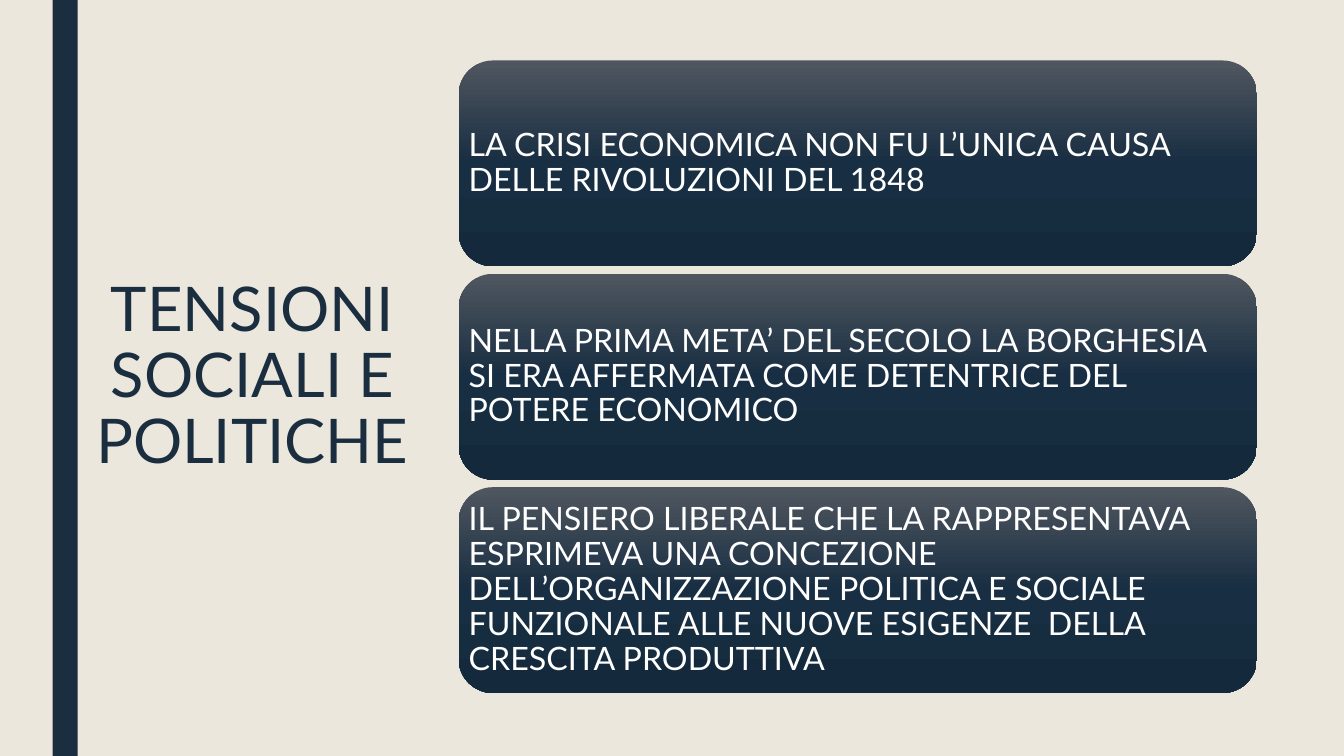
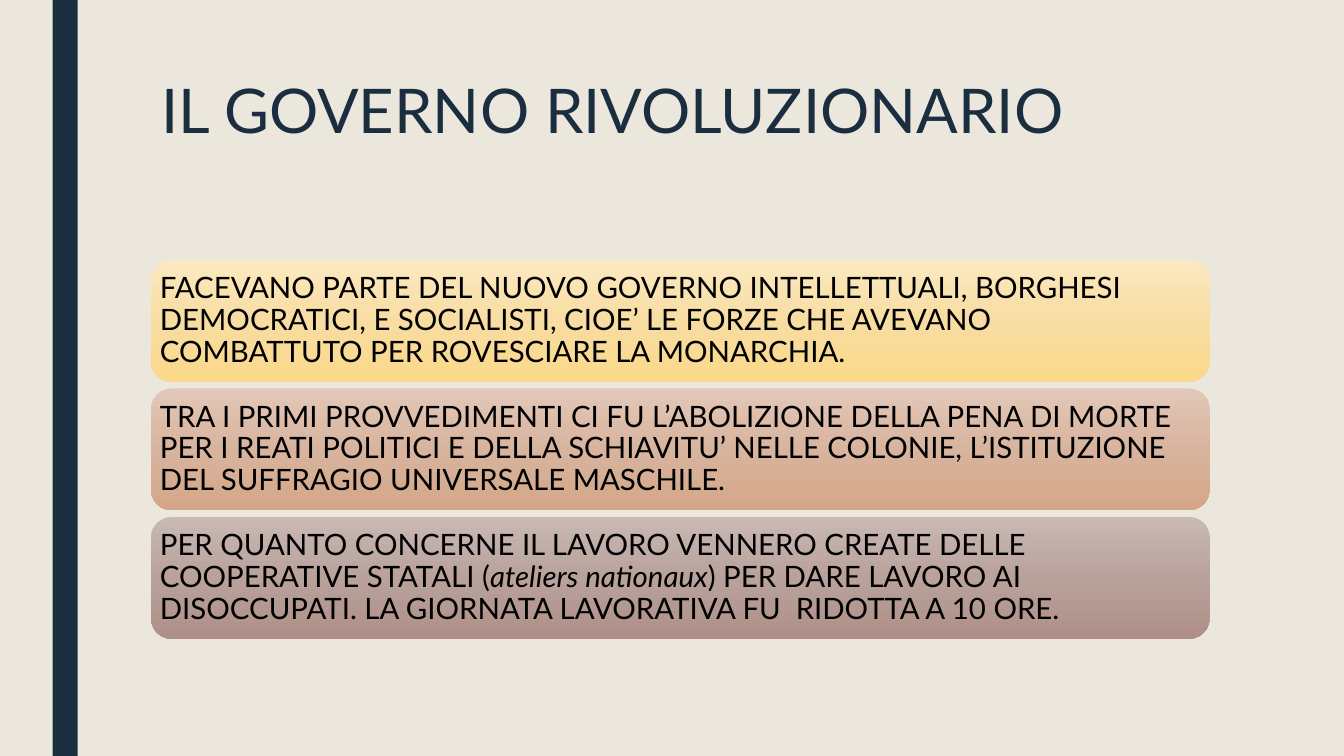
from copy import deepcopy

from pptx import Presentation
from pptx.dml.color import RGBColor
from pptx.enum import shapes as kinds, text as layout_text
from pptx.util import Pt

# Shared look
FONT = "Lato"
CREAM = RGBColor(0xEB, 0xE7, 0xDD)
NAVY = RGBColor(0x1A, 0x2E, 0x40)
WHITE = RGBColor(0xFF, 0xFF, 0xFF)
BLACK = RGBColor(0x00, 0x00, 0x00)
NAVY_BLEND = (RGBColor(0x4F, 0x56, 0x5F), RGBColor(0x18, 0x2E, 0x42), RGBColor(0x14, 0x29, 0x3C))
YELLOW_BLEND = (RGBColor(0xFB, 0xE9, 0xC2), RGBColor(0xF8, 0xDD, 0xA2), RGBColor(0xFB, 0xD9, 0x89))
COPPER_BLEND = (RGBColor(0xE2, 0xC8, 0xB8), RGBColor(0xD8, 0xB4, 0x9E), RGBColor(0xD4, 0xA6, 0x87))
MAUVE_BLEND = (RGBColor(0xC9, 0xB8, 0xB3), RGBColor(0xB9, 0xA2, 0x9C), RGBColor(0xAF, 0x8F, 0x87))

LEFT, CENTER = layout_text.PP_ALIGN.LEFT, layout_text.PP_ALIGN.CENTER
TOP, MIDDLE = layout_text.MSO_ANCHOR.TOP, layout_text.MSO_ANCHOR.MIDDLE


def write(shape, content, *, size, color, align=LEFT, anchor=MIDDLE, spacing=0.9, margin=None):
    """Fill a shape with one paragraph; words between underscores are italic."""
    frame = shape.text_frame
    frame.word_wrap = True
    frame.auto_size = layout_text.MSO_AUTO_SIZE.NONE
    frame.vertical_anchor = anchor
    if margin is not None:
        frame.margin_left = frame.margin_right = Pt(margin)
        frame.margin_top = frame.margin_bottom = Pt(margin)
    paragraph = frame.paragraphs[0]
    paragraph.alignment = align
    paragraph.line_spacing = spacing
    for index, part in enumerate(content.split("_")):
        run = paragraph.add_run()
        run.text = part
        run.font.name = FONT
        run.font.size = Pt(size)
        run.font.color.rgb = color
        run.font.italic = index % 2 == 1


def fill_blend(shape, colors):
    """Give a shape a downward gradient with three even stops."""
    shape.fill.gradient()
    shape.fill.gradient_angle = 270
    stop_list = shape.fill._fill._gradFill.gsLst
    stop_list.insert(1, deepcopy(stop_list[0]))
    for stop, position, color in zip(shape.fill.gradient_stops, (0, 0.5, 1), colors):
        stop.position = position
        stop.color.rgb = color


# Content: boxes are placed by left, top, width, height, and the step between tops
SLIDES = [
    dict(
        title="TENSIONI SOCIALI E POLITICHE",
        title_box=(50.4, 50.4, 260, 439.2),
        title_format=dict(align=CENTER, anchor=MIDDLE),
        first_box=(327.6, 43.2, 570.2, 147),
        step=152.4,
        box_format=dict(size=23, color=WHITE, margin=0),
        boxes=[
            (NAVY_BLEND, "LA CRISI ECONOMICA NON FU L’UNICA CAUSA DELLE RIVOLUZIONI DEL 1848"),
            (NAVY_BLEND, "NELLA PRIMA META’ DEL SECOLO LA BORGHESIA  SI ERA AFFERMATA COME "
                         "DETENTRICE DEL POTERE ECONOMICO"),
            (NAVY_BLEND, "IL PENSIERO LIBERALE CHE LA RAPPRESENTAVA ESPRIMEVA UNA CONCEZIONE "
                         "DELL’ORGANIZZAZIONE POLITICA E SOCIALE FUNZIONALE ALLE NUOVE ESIGENZE  "
                         "DELLA CRESCITA PRODUTTIVA"),
        ],
    ),
    dict(
        title="IL GOVERNO RIVOLUZIONARIO",
        title_box=(108, 54, 756, 116.6),
        title_format=dict(align=LEFT, anchor=TOP),
        first_box=(108, 185.6, 756, 87),
        step=91.8,
        box_format=dict(size=21, color=BLACK, margin=2),
        boxes=[
            (YELLOW_BLEND, "FACEVANO PARTE DEL NUOVO GOVERNO INTELLETTUALI, BORGHESI DEMOCRATICI, "
                           "E SOCIALISTI, CIOE’ LE FORZE CHE AVEVANO COMBATTUTO PER ROVESCIARE "
                           "LA MONARCHIA."),
            (COPPER_BLEND, "TRA I PRIMI PROVVEDIMENTI CI FU L’ABOLIZIONE DELLA PENA DI MORTE PER I "
                           "REATI POLITICI E DELLA SCHIAVITU’ NELLE COLONIE, L’ISTITUZIONE DEL "
                           "SUFFRAGIO UNIVERSALE MASCHILE."),
            (MAUVE_BLEND, "PER QUANTO CONCERNE IL LAVORO VENNERO CREATE DELLE COOPERATIVE STATALI "
                          "(_ateliers nationaux_) PER DARE LAVORO AI DISOCCUPATI. LA GIORNATA "
                          "LAVORATIVA FU  RIDOTTA A 10 ORE."),
        ],
    ),
]

presentation = Presentation()
presentation.slide_width, presentation.slide_height = Pt(960), Pt(540)
background = presentation.slide_master.background.fill
background.solid()
background.fore_color.rgb = CREAM

for content in SLIDES:
    slide = presentation.slides.add_slide(presentation.slide_layouts[5])

    # Side band
    band = slide.shapes.add_shape(
        kinds.MSO_SHAPE.RECTANGLE, Pt(37.5), Pt(0), Pt(18), Pt(540))
    band.shadow.inherit = False
    band.fill.solid()
    band.fill.fore_color.rgb = NAVY
    band.line.fill.background()

    # Title
    title = slide.shapes.title
    title.left, title.top, title.width, title.height = map(Pt, content["title_box"])
    write(title, content["title"], size=44, color=NAVY, spacing=0.89, **content["title_format"])

    # Stacked boxes
    left, top, width, height = content["first_box"]
    for row, (blend, sentence) in enumerate(content["boxes"]):
        box = slide.shapes.add_shape(
            kinds.MSO_SHAPE.ROUNDED_RECTANGLE,
            Pt(left), Pt(top + row * content["step"]), Pt(width), Pt(height))
        box.shadow.inherit = False
        box.line.fill.background()
        fill_blend(box, blend)
        write(box, sentence, **content["box_format"])

presentation.save("out.pptx")
